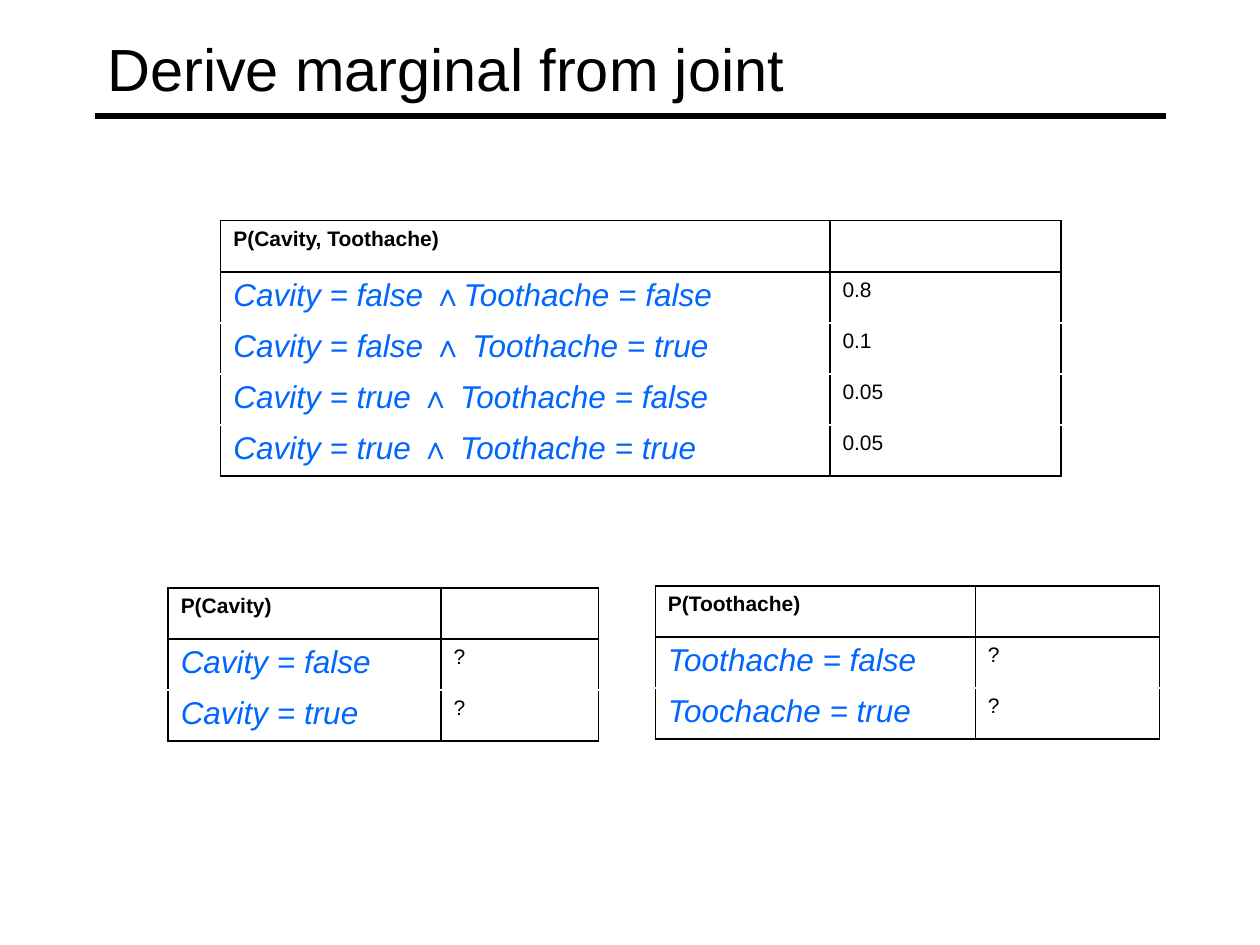
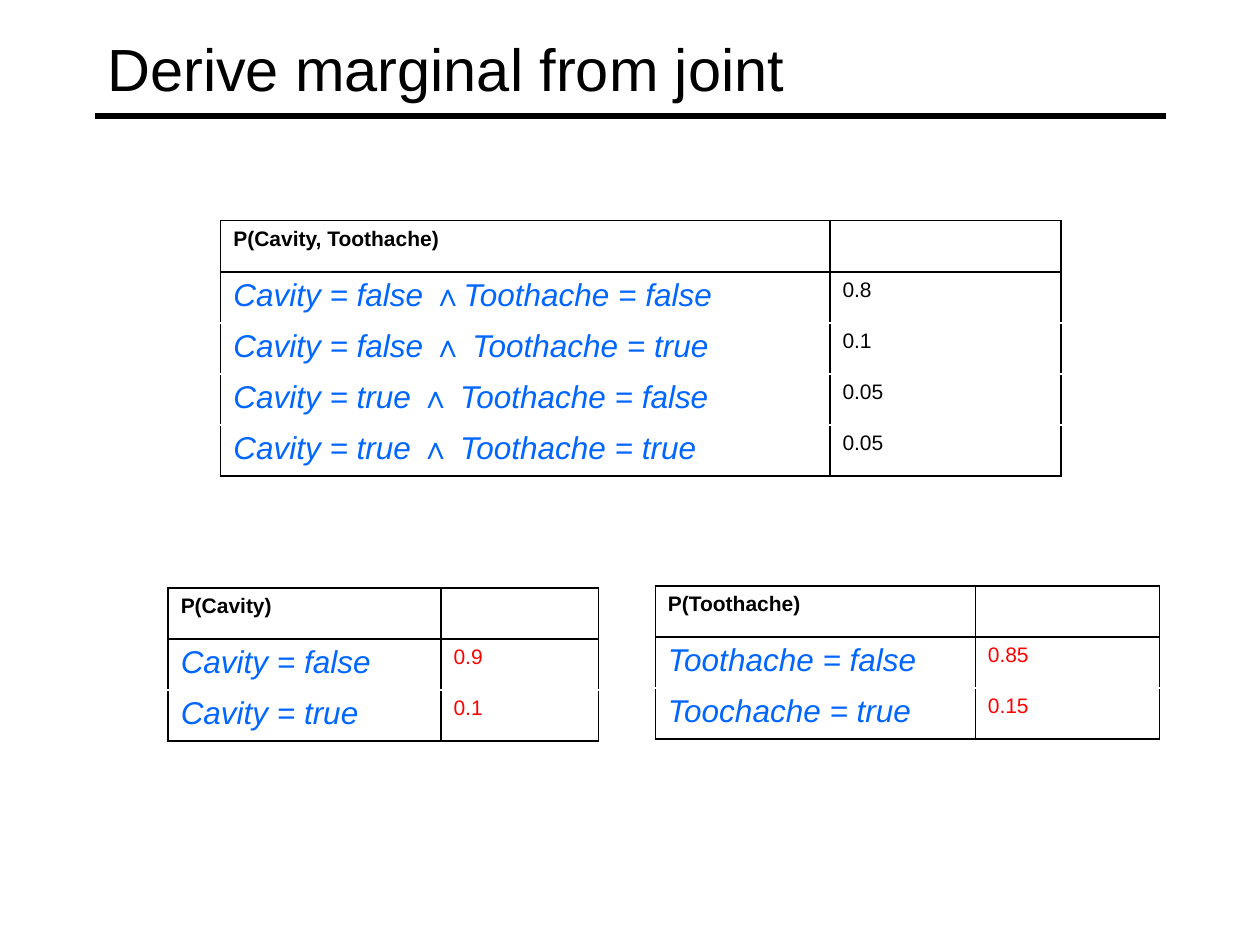
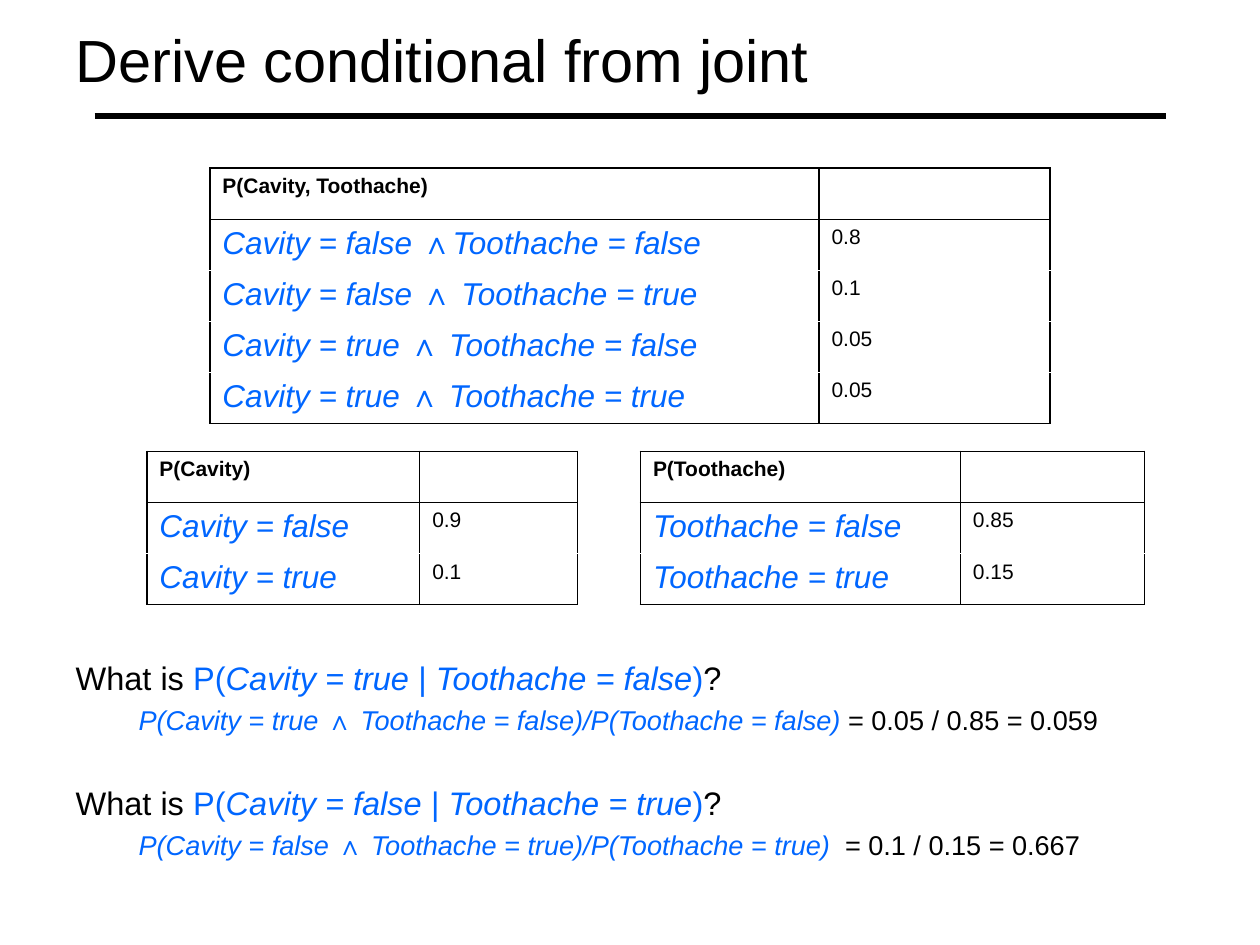
from dataclasses import dataclass, replace

from lxml import etree
from pptx import Presentation, util as u
from pptx.dml.color import RGBColor
from pptx.enum import shapes, text
from pptx.oxml import ns


@dataclass(frozen=True)
class TextStyle:
    size: float
    color: str
    bold: bool = False
    italic: bool = False


@dataclass(frozen=True)
class Theme:
    font: str = "Arial"
    black: str = "000000"
    white: str = "FFFFFF"
    blue: str = "0066FF"
    red: str = "FF0000"
    title_size: float = 34
    question_size: float = 18.6
    answer_size: float = 15.5
    event_size: float = 18
    value_size: float = 12
    rule_width: float = 3
    border_width: float = 1


THEME = Theme()
TITLE = TextStyle(THEME.title_size, THEME.black)
HEADER = TextStyle(THEME.value_size, THEME.black, bold=True)
EVENT = TextStyle(THEME.event_size, THEME.blue, italic=True)
VALUE = TextStyle(THEME.value_size, THEME.black)
SOLVED = replace(VALUE, color=THEME.red)
QUESTION = TextStyle(THEME.question_size, THEME.black)
QUERY = replace(QUESTION, color=THEME.blue)
QUERY_EVENT = replace(QUERY, italic=True)
DERIVATION = TextStyle(THEME.answer_size, THEME.blue, italic=True)
RESULT = TextStyle(THEME.answer_size, THEME.black)

TITLE_ONLY, TITLE_AND_BODY = 5, 1
ROW_HEIGHT = 1.03
JOINT_COLUMNS = (12.28, 4.66)
CAVITY_COLUMNS = (5.5, 3.18)
TOOTHACHE_COLUMNS = (6.45, 3.71)

JOINT = [
    ("Cavity = false ∧Toothache = false", "0.8"),
    ("Cavity = false ∧ Toothache = true", "0.1"),
    ("Cavity = true ∧ Toothache = false", "0.05"),
    ("Cavity = true ∧ Toothache = true", "0.05"),
]
CAVITY_EVENTS = ("Cavity = false", "Cavity = true")
CAVITY_VALUES = ("0.9", "0.1")
TOOTHACHE_VALUES = ("0.85", "0.15")
UNKNOWN = ("?", "?")


def event_runs(event, style):
    """Split an event so that its 'and' sign stands upright."""
    parts = event.partition("∧")
    return [(part, replace(style, italic=part != "∧")) for part in parts if part]


class Deck:
    def __init__(self, theme):
        self.theme = theme
        self.prs = Presentation()
        self.prs.slide_width, self.prs.slide_height = u.Cm(25.4), u.Cm(19.05)
        self.slide = None

    def new_slide(self, layout, title, box):
        self.slide = self.prs.slides.add_slide(self.prs.slide_layouts[layout])
        self.rule()
        frame = self.place(self.slide.shapes.title, box)
        frame.vertical_anchor = text.MSO_ANCHOR.MIDDLE
        self.add_runs(frame.paragraphs[0], [(title, TITLE)])

    def rule(self):
        y = u.Cm(2.34)
        line = self.slide.shapes.add_connector(
            shapes.MSO_CONNECTOR.STRAIGHT, u.Cm(1.91), y, u.Cm(23.5), y)
        line.line.color.rgb = RGBColor.from_string(self.theme.black)
        line.line.width = u.Pt(self.theme.rule_width)
        etree.SubElement(line.element.spPr, ns.qn("a:effectLst"))

    def place(self, placeholder, box):
        placeholder.left, placeholder.top, placeholder.width, placeholder.height = map(u.Cm, box)
        frame = placeholder.text_frame
        frame.word_wrap = True
        frame.auto_size = text.MSO_AUTO_SIZE.NONE
        return frame

    def add_runs(self, paragraph, runs):
        paragraph.alignment = text.PP_ALIGN.LEFT
        for words, style in runs:
            run = paragraph.add_run()
            run.text = words
            font = run.font
            font.name, font.size = self.theme.font, u.Pt(style.size)
            font.bold, font.italic = style.bold, style.italic
            font.color.rgb = RGBColor.from_string(style.color)

    def questions(self, pairs, box):
        """Fill the body with questions, each with its answer one level in."""
        frame = self.place(self.slide.placeholders[1], box)
        for number, (question, answer) in enumerate(pairs):
            first = number == 0
            paragraph = frame.paragraphs[0] if first else frame.add_paragraph()
            self.list_item(paragraph, question, 0, 0.97, -0.97, 0 if first else 26.5)
            self.list_item(frame.add_paragraph(), answer, 1, 2.06, -0.79, 4)

    def list_item(self, paragraph, runs, level, margin, indent, space_before):
        paragraph.level = level
        properties = paragraph._p.get_or_add_pPr()
        properties.set("marL", str(u.Cm(margin)))
        properties.set("indent", str(u.Cm(indent)))
        etree.SubElement(properties, ns.qn("a:buNone"))
        paragraph.space_before = u.Pt(space_before)
        self.add_runs(paragraph, runs)

    def probability_table(self, header, rows, columns, left, top, value_style=VALUE):
        count = len(rows) + 1
        table = self.slide.shapes.add_table(
            count, len(columns), u.Cm(left), u.Cm(top),
            u.Cm(sum(columns)), u.Cm(ROW_HEIGHT * count)).table
        for column, width in zip(table.columns, columns):
            column.width = u.Cm(width)
        for row in table.rows:
            row.height = u.Cm(ROW_HEIGHT)
        for row in range(count):
            for column in range(len(columns)):
                self.style_cell(table.cell(row, column), row, count - 1)
        self.fill_cell(table.cell(0, 0), [(header, HEADER)])
        for row, (event, value) in enumerate(rows, start=1):
            self.fill_cell(table.cell(row, 0), event_runs(event, EVENT))
            self.fill_cell(table.cell(row, 1), [(value, value_style)])

    def fill_cell(self, cell, runs):
        self.add_runs(cell.text_frame.paragraphs[0], runs)

    def style_cell(self, cell, row, last):
        """Frame the header and the block of values; rows inside it part in white."""
        black, white = self.theme.black, self.theme.white
        borders = {
            "L": black,
            "R": black,
            "T": black if row <= 1 else white,
            "B": black if row in (0, last) else white,
        }
        properties = cell._tc.get_or_add_tcPr()
        for side, color in borders.items():
            line = etree.SubElement(properties, ns.qn(f"a:ln{side}"),
                                    w=str(u.Pt(self.theme.border_width)))
            fill = etree.SubElement(line, ns.qn("a:solidFill"))
            etree.SubElement(fill, ns.qn("a:srgbClr"), val=color)
        cell.fill.solid()
        cell.fill.fore_color.rgb = RGBColor.from_string(white)

    def joint(self, left, top):
        self.probability_table("P(Cavity, Toothache)", JOINT, JOINT_COLUMNS, left, top)

    def cavity(self, values, left, top, style=VALUE):
        self.probability_table("P(Cavity)", list(zip(CAVITY_EVENTS, values)),
                               CAVITY_COLUMNS, left, top, style)

    def toothache(self, events, values, left, top, style=VALUE):
        self.probability_table("P(Toothache)", list(zip(events, values)),
                               TOOTHACHE_COLUMNS, left, top, style)


def marginal_slide(deck, cavity_values, toothache_values, style):
    deck.new_slide(TITLE_ONLY, "Derive marginal from joint", (1.91, 0.2, 21.59, 2.34))
    deck.joint(4.45, 4.45)
    deck.cavity(cavity_values, 3.39, 11.85, style)
    deck.toothache(("Toothache = false", "Toochache = true"), toothache_values,
                   13.21, 11.81, style)


def conditional_question(event, given):
    return [("What is ", QUESTION), ("P(", QUERY), (event, QUERY_EVENT), (" | ", QUERY),
            (given, QUERY_EVENT), (")", QUERY), ("?", QUESTION)]


def conditional_answer(event, given, result):
    derivation = f"P({event} ∧ {given})/P({given})"
    return event_runs(derivation, DERIVATION) + [(result, RESULT)]


def conditional_slide(deck):
    deck.new_slide(TITLE_AND_BODY, "Derive conditional from joint", (1.27, 0.08, 22.86, 2.21))
    cases = [
        ("Cavity = true", "Toothache = false", " = 0.05 / 0.85 = 0.059"),
        ("Cavity = false", "Toothache = true", "  = 0.1 / 0.15 = 0.667"),
    ]
    deck.questions([(conditional_question(event, given),
                     conditional_answer(event, given, result))
                    for event, given, result in cases], (1.27, 13.13, 22.86, 3.89))
    deck.joint(4.23, 3.39)
    deck.cavity(CAVITY_VALUES, 2.96, 9.1)
    deck.toothache(("Toothache = false", "Toothache = true"), TOOTHACHE_VALUES, 12.91, 9.1)


def main():
    deck = Deck(THEME)
    marginal_slide(deck, UNKNOWN, UNKNOWN, VALUE)
    marginal_slide(deck, CAVITY_VALUES, TOOTHACHE_VALUES, SOLVED)
    conditional_slide(deck)
    deck.prs.save("out.pptx")


if __name__ == "__main__":
    main()
